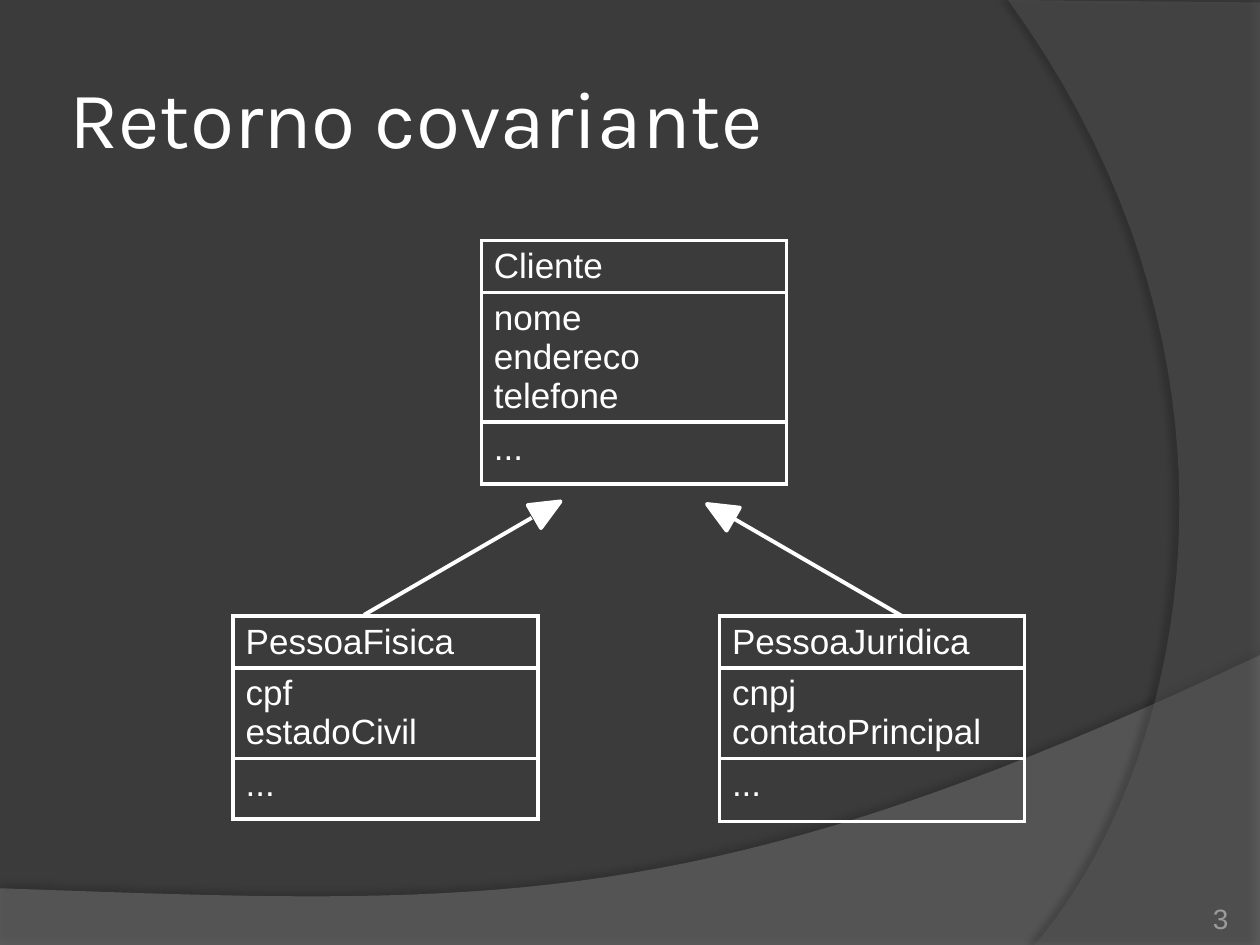
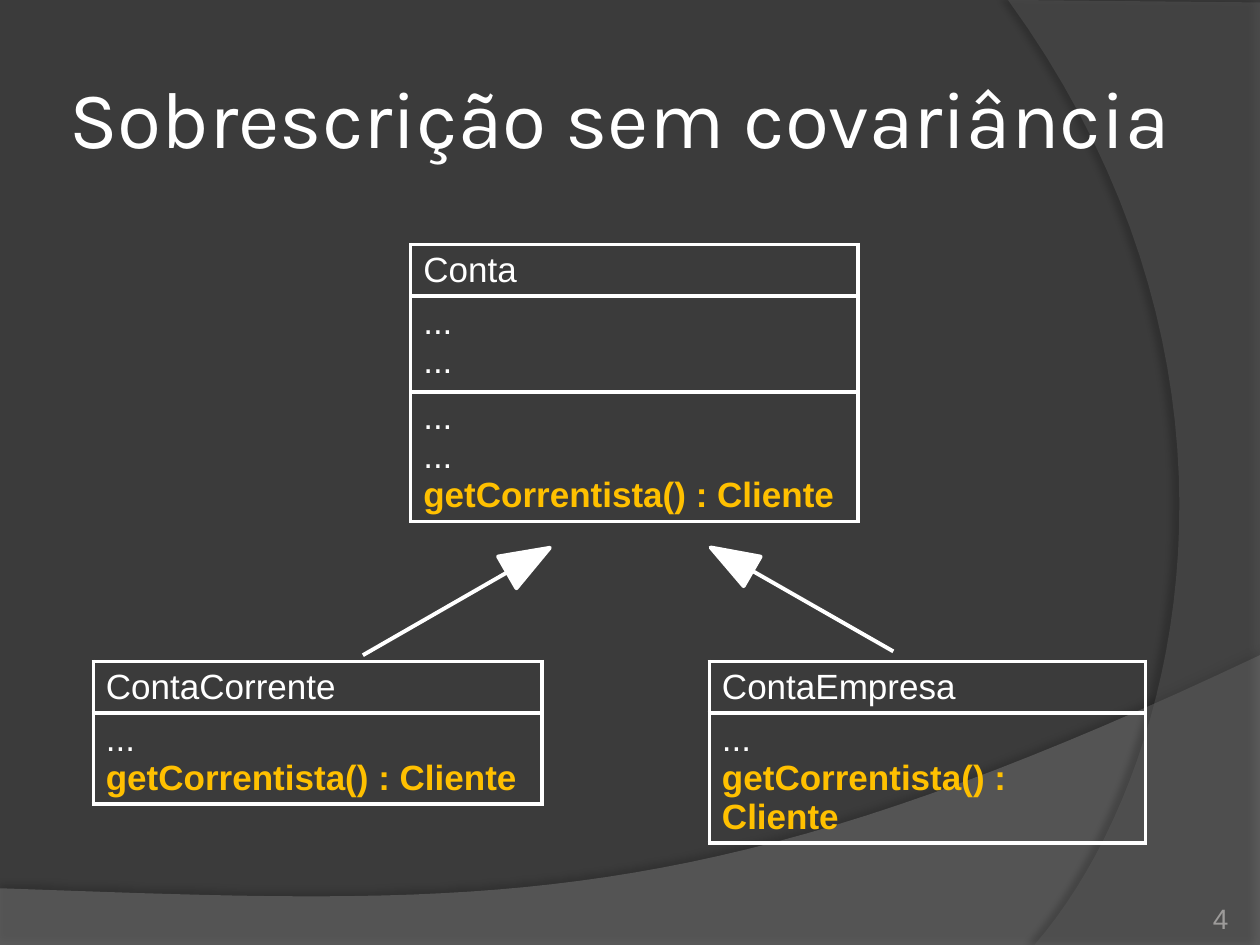
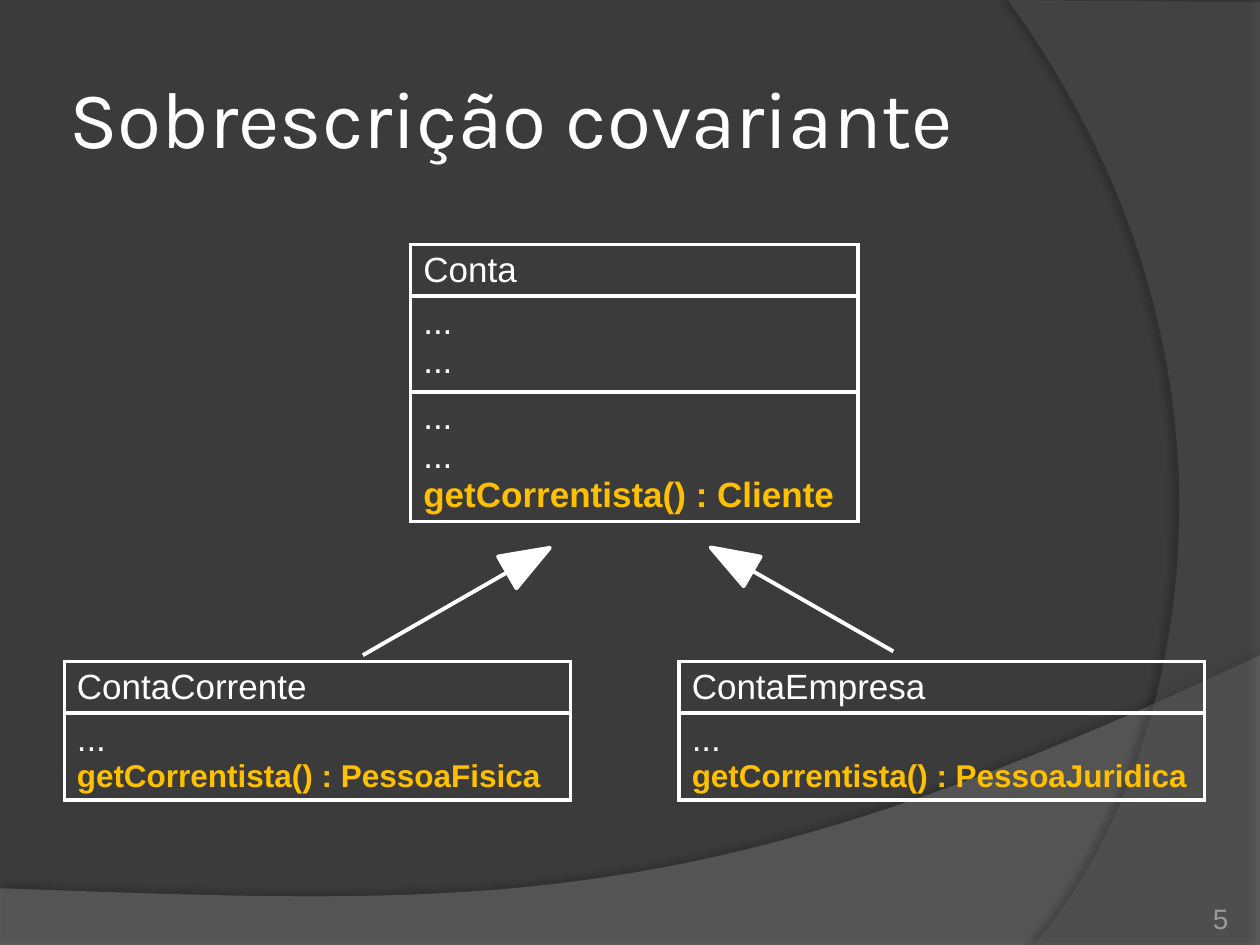
from dataclasses import dataclass
from typing import Any

from lxml.etree import SubElement
from pptx import Presentation
from pptx.dml.color import RGBColor
from pptx.enum.shapes import MSO_CONNECTOR as Connector, MSO_SHAPE as Preset
from pptx.enum.text import MSO_ANCHOR as Anchor, MSO_AUTO_SIZE as AutoSize, PP_ALIGN as Align
from pptx.oxml import parse_xml
from pptx.oxml.ns import nsdecls, qn
from pptx.util import Emu, Inches, Pt

COLUMNS, ROWS = 10, 7.5
CELL = Inches(1)
FIRST_NUMBER = 3
CURVE_STEPS = 40

BACKGROUND = RGBColor(0x3B, 0x3B, 0x3B)
WAVE_GREY = RGBColor(0x7F, 0x7F, 0x7F)
ARC_GREY = RGBColor(0x5E, 0x5E, 0x5E)
NUMBER_GREY = RGBColor(0x9D, 0x9B, 0x9A)
WHITE = RGBColor(0xFF, 0xFF, 0xFF)
AMBER = RGBColor(0xFF, 0xC0, 0x00)
BLACK = RGBColor(0x00, 0x00, 0x00)

STROKE = Pt(2.25)
TITLE_FONT = {"name": "Karla", "size": Pt(46), "bold": False}
NUMBER_FONT = {"name": "Arial", "size": Pt(16)}
TITLE_FRAME = {
    "word_wrap": True, "auto_size": AutoSize.NONE, "vertical_anchor": Anchor.MIDDLE,
    "margin_left": Inches(0.05), "margin_right": Inches(0.05),
    "margin_top": Inches(0.05), "margin_bottom": Inches(0.05),
}
NUMBER_FRAME = {
    "word_wrap": True, "vertical_anchor": Anchor.BOTTOM,
    "margin_left": 0, "margin_right": 0, "margin_top": 0, "margin_bottom": 0,
}
PLAIN_TABLE = {"first_row": False, "horz_banding": False}

Point = tuple[float, float]
Area = tuple[float, float, float, float]


@dataclass(frozen=True)
class Span:
    text: str
    color: RGBColor = WHITE
    bold: bool = False
    size: float = 20


@dataclass(frozen=True)
class ClassBox:
    at: Area
    rows: tuple[float, ...]
    sections: tuple[tuple[Span, ...], ...]


@dataclass(frozen=True)
class Arrow:
    head: Area
    rotation: float
    begin: Point
    end: Point


@dataclass(frozen=True)
class Band:
    points: list[Point]
    color: RGBColor
    opacity: int
    shadow_opacity: int
    distance: float
    direction: int


@dataclass(frozen=True)
class Page:
    title: str
    title_width: float
    boxes: tuple[ClassBox, ...]
    arrows: tuple[Arrow, ...]


def grid(*cells: float) -> list[Emu]:
    return [Emu(round(cell * CELL)) for cell in cells]


def assign(target: Any, values: dict[str, Any]) -> None:
    for name, value in values.items():
        setattr(target, name, value)


def lines(*texts: str) -> tuple[Span, ...]:
    return tuple(Span(text) for text in texts)


def getter(result: str, size: float = 20) -> Span:
    return Span(f"getCorrentista() : {result}", AMBER, True, size)


def curve(start: Point, first: Point, second: Point, end: Point) -> list[Point]:
    points = []
    for step in range(1, CURVE_STEPS + 1):
        t = step / CURVE_STEPS
        weights = ((1 - t) ** 3, 3 * t * (1 - t) ** 2, 3 * t * t * (1 - t), t ** 3)
        pairs = zip(start, first, second, end)
        x, y = (sum(w * v for w, v in zip(weights, axis)) for axis in pairs)
        points.append((x, y))
    return points


def add_alpha(color: Any, percent: int) -> None:
    SubElement(color, qn("a:alpha"), val=str(percent * 1000))


def draw_band(slide: Any, layout: Any, band: Band, order: int) -> None:
    start, *rest = [tuple(grid(*point)) for point in band.points]
    builder = slide.shapes.build_freeform(*start)
    builder.add_line_segments(rest)
    shape = builder.convert_to_shape()
    shape.fill.solid()
    shape.fill.fore_color.rgb = band.color
    shape.line.fill.background()
    shape.shadow.inherit = False
    properties = shape.element.spPr
    add_alpha(properties.find(f"{qn('a:solidFill')}/{qn('a:srgbClr')}"), band.opacity)
    shadow = SubElement(
        properties.find(qn("a:effectLst")), qn("a:outerShdw"),
        blurRad=str(Pt(4)), dist=str(Pt(band.distance)),
        dir=str(band.direction * 60000), algn="ctr", rotWithShape="0",
    )
    add_alpha(SubElement(shadow, qn("a:srgbClr"), val=str(BLACK)), band.shadow_opacity)
    shape.element.nvSpPr.cNvPr.set("id", str(100 + order))
    layout.shapes.element.insert(2 + order, shape.element)


def write(para: Any, text: str, color: RGBColor, font: dict[str, Any]) -> None:
    run = para.add_run()
    run.text = text
    assign(run.font, font)
    run.font.color.rgb = color


def border_cell(cell: Any) -> None:
    cell.fill.background()
    properties = cell._tc.get_or_add_tcPr()
    for order, side in enumerate(("lnL", "lnR", "lnT", "lnB")):
        properties.insert(order, parse_xml(
            f'<a:{side} {nsdecls("a")} w="{STROKE}"><a:solidFill>'
            f'<a:srgbClr val="{WHITE}"/></a:solidFill></a:{side}>'
        ))


def draw_class(slide: Any, box: ClassBox) -> None:
    frame = slide.shapes.add_table(len(box.rows), 1, *grid(*box.at))
    table = frame.table
    assign(table, PLAIN_TABLE)
    for index, (height, section) in enumerate(zip(box.rows, box.sections)):
        table.rows[index].height = grid(height)[0]
        cell = table.cell(index, 0)
        border_cell(cell)
        para = cell.text_frame.paragraphs[0]
        for position, span in enumerate(section):
            if position:
                para.add_line_break()
            write(para, span.text, span.color,
                  {"name": "Arial", "size": Pt(span.size), "bold": span.bold})
    frame.height = grid(box.at[3])[0]


def draw_arrow(slide: Any, arrow: Arrow) -> None:
    group = slide.shapes.add_group_shape()
    head = group.shapes.add_shape(Preset.ISOSCELES_TRIANGLE, *grid(*arrow.head))
    head.rotation = arrow.rotation
    head.shadow.inherit = False
    head.fill.solid()
    head.fill.fore_color.rgb = WHITE
    shaft = group.shapes.add_connector(Connector.STRAIGHT, *grid(*arrow.begin, *arrow.end))
    for part in (head, shaft):
        part.line.color.rgb = WHITE
        part.line.width = STROKE
    SubElement(shaft.element.spPr, qn("a:effectLst"))


def draw_title(slide: Any, page: Page) -> None:
    title = slide.shapes.title
    left, top, width, height = grid(0.5, 0.3, page.title_width, 1.25)
    assign(title, {"left": left, "top": top, "width": width, "height": height})
    assign(title.text_frame, TITLE_FRAME)
    para = title.text_frame.paragraphs[0]
    para.alignment = Align.LEFT
    write(para, page.title, WHITE, TITLE_FONT)


def draw_number(slide: Any, number: int) -> None:
    box = slide.shapes.add_textbox(*grid(8.92, 7.02, 0.83, 0.4))
    assign(box.text_frame, NUMBER_FRAME)
    para = box.text_frame.paragraphs[0]
    para.alignment = Align.RIGHT
    write(para, str(number), NUMBER_GREY, NUMBER_FONT)


def account(name: str, left: float, width: float, height: float, method: Span) -> ClassBox:
    return ClassBox((left, 5.25, width, height), (0.27, 0.61),
                    (lines(name), (Span("..."), method)))


BANDS = (
    Band([(0, 7.05), (0, ROWS), (COLUMNS, ROWS), (COLUMNS, 5.2),
          *curve((COLUMNS, 5.2), (5.59, 7.29), (3.91, 7.19), (0, 7.05))],
         WAVE_GREY, 45, 35, 3.5, 270),
    Band([(COLUMNS, 0.02), (COLUMNS, ROWS), (8.21, ROWS),
          *curve((8.21, ROWS), (9.35, 6.19), (10.18, 3), (8, 0)), (COLUMNS, 0.02)],
         ARC_GREY, 40, 45, 4, 180),
)

CONTA = ClassBox(
    (3.26, 1.94, 3.55, 2.3), (0.31, 0.76, 0.96),
    (lines("Conta"), lines("...", "..."), (*lines("...", "..."), getter("Cliente"))),
)
CLIENT_ARROWS = (
    Arrow((4.24, 3.92, 0.21, 0.24), 60, (4.22, 4.11), (2.89, 4.88)),
    Arrow((5.61, 3.94, 0.21, 0.24), 300, (5.83, 4.12), (7.16, 4.89)),
)
ACCOUNT_ARROWS = (
    Arrow((5.67, 4.25, 0.27, 0.38), 300, (5.97, 4.53), (7.09, 5.17)),
    Arrow((4.05, 4.25, 0.29, 0.39), 60, (4.03, 4.54), (2.88, 5.2)),
)

PAGES = (
    Page("Retorno covariante", 8.17, (
        ClassBox((3.82, 1.91, 2.42, 2.02), (0.36, 0.84, 0.49),
                 (lines("Cliente"), lines("nome", "endereco", "telefone"), lines("..."))),
        ClassBox((5.71, 4.89, 2.42, 1.7), (0.27, 0.61, 0.5),
                 (lines("PessoaJuridica"), lines("cnpj", "contatoPrincipal"), lines("..."))),
        ClassBox((1.85, 4.89, 2.42, 1.68), (0.29, 0.5, 0.48),
                 (lines("PessoaFisica"), lines("cpf", "estadoCivil"), lines("..."))),
    ), CLIENT_ARROWS),
    Page("Sobrescrição sem covariância", 9.03, (
        CONTA,
        account("ContaEmpresa", 5.63, 3.46, 1.2, getter("Cliente")),
        account("ContaCorrente", 0.74, 3.56, 1.2, getter("Cliente")),
    ), ACCOUNT_ARROWS),
    Page("Sobrescrição covariante", 8.17, (
        CONTA,
        account("ContaEmpresa", 5.39, 4.17, 1.17, getter("PessoaJuridica", 18)),
        account("ContaCorrente", 0.51, 4.02, 1.17, getter("PessoaFisica", 18)),
    ), ACCOUNT_ARROWS),
)


def main() -> None:
    deck = Presentation()
    deck.slide_width, deck.slide_height = grid(COLUMNS, ROWS)
    background = deck.slide_master.background.fill
    background.solid()
    background.fore_color.rgb = BACKGROUND
    layout = deck.slide_layouts.get_by_name("Title Only")
    slides = [deck.slides.add_slide(layout) for _ in PAGES]
    for order, band in enumerate(BANDS):
        draw_band(slides[0], layout, band, order)
    for number, (slide, page) in enumerate(zip(slides, PAGES), FIRST_NUMBER):
        draw_title(slide, page)
        for box in page.boxes:
            draw_class(slide, box)
        for arrow in page.arrows:
            draw_arrow(slide, arrow)
        draw_number(slide, number)
    deck.save("out.pptx")


main()
